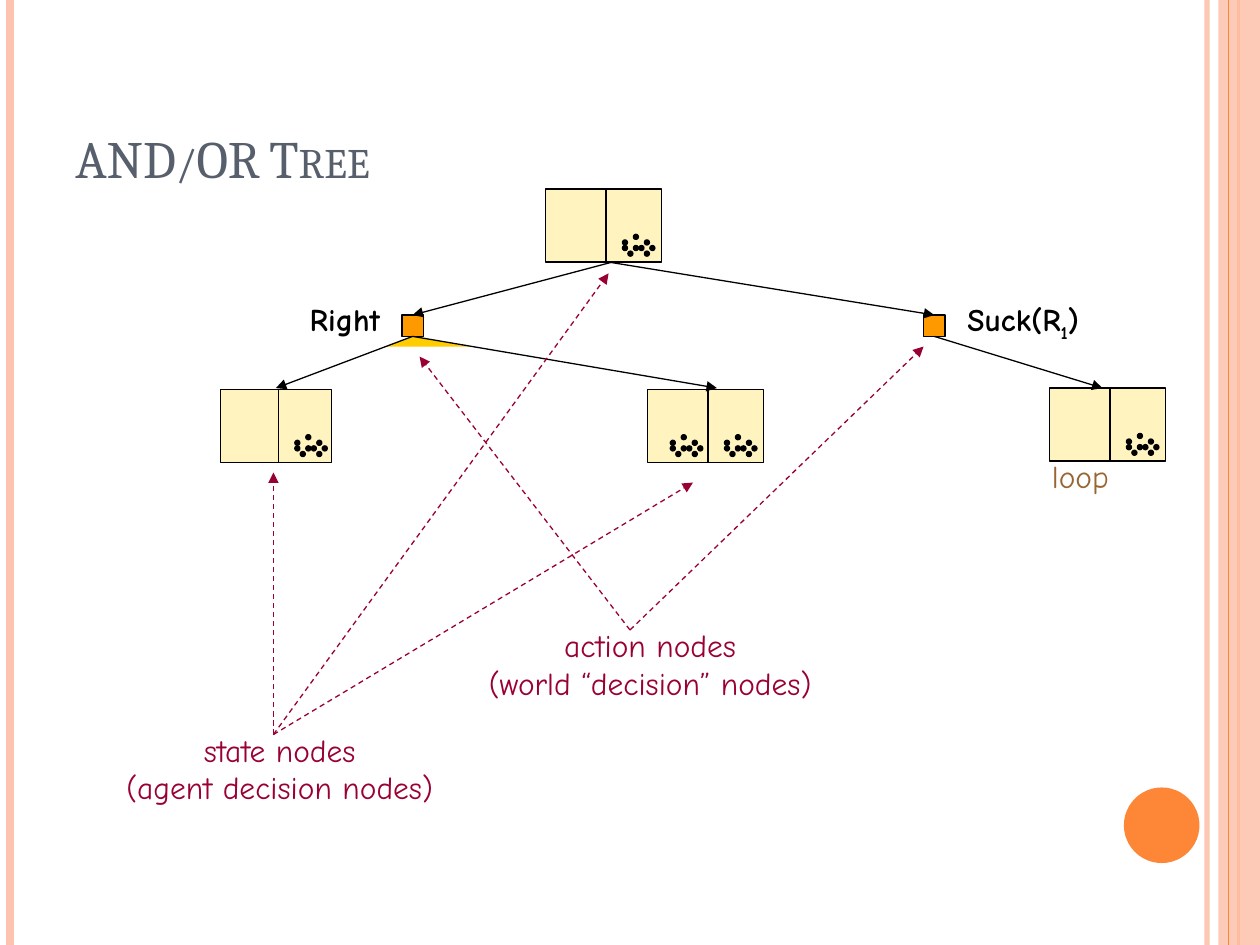
from lxml import etree
from pptx import Presentation
from pptx.dml.color import RGBColor
from pptx.enum.dml import MSO_LINE
from pptx.enum.shapes import MSO_CONNECTOR, MSO_SHAPE
from pptx.enum.text import MSO_ANCHOR, MSO_AUTO_SIZE, PP_ALIGN
from pptx.oxml.ns import qn
from pptx.util import Inches, Pt

RECT, OVAL = MSO_SHAPE.RECTANGLE, MSO_SHAPE.OVAL
STRAIGHT, DASH = MSO_CONNECTOR.STRAIGHT, MSO_LINE.DASH
LEFT, CENTER = PP_ALIGN.LEFT, PP_ALIGN.CENTER
TOP, BOTTOM = MSO_ANCHOR.TOP, MSO_ANCHOR.BOTTOM
FIT, FIXED = MSO_AUTO_SIZE.SHAPE_TO_FIT_TEXT, MSO_AUTO_SIZE.NONE
BLACK, WINE, ORANGE, PINK = "000000", "990033", "FE8637", "FEC3AE"
DOTS = [(0, 1), (2, 2), (1, 3), (2, 0), (4, 1), (3, 2), (5, 2), (0, 2), (4, 3)]


def paint(fill, color, alpha=100):
    """Fill with a solid colour at a given opacity in percent."""
    fill.solid()
    fill.fore_color.rgb = RGBColor.from_string(color)
    if alpha < 100:
        for tone in fill._xPr.iter(qn("a:srgbClr")):
            etree.SubElement(tone, qn("a:alpha"), val=str(alpha * 1000))


def shape(slide, kind, x, y, w, h, color, edge=None, alpha=100):
    """Add a filled preset shape, outlined when an edge colour is given."""
    item = slide.shapes.add_shape(kind, Inches(x), Inches(y), Inches(w), Inches(h))
    item.shadow.inherit = False
    paint(item.fill, color, alpha)
    if edge:
        paint(item.line.fill, edge)
        item.line.width = Pt(0.75)
    else:
        item.line.fill.background()
    return item


def line(slide, start, end, color, width=0.75, alpha=100):
    """Add a plain straight line."""
    item = slide.shapes.add_connector(STRAIGHT, *map(Inches, start + end))
    paint(item.line.fill, color, alpha)
    item.line.width = Pt(width)
    etree.SubElement(item._element.spPr, qn("a:effectLst"))
    return item


def arrow(slide, start, end, color=BLACK, dash=None):
    """Add a line with a triangle head at its end."""
    item = line(slide, start, end, color)
    if dash:
        item.line.dash_style = dash
    etree.SubElement(item.line._get_or_add_ln(), qn("a:tailEnd"), type="triangle")
    return item


def text(slide, x, y, w, h, rows, color, size=18, font="Comic Neue", bold=False,
         align=LEFT, anchor=TOP, fit=FIT):
    """Add a text box of rows, each a list of (words, run attributes)."""
    box = slide.shapes.add_textbox(Inches(x), Inches(y), Inches(w), Inches(h))
    frame = box.text_frame
    frame.word_wrap = fit == FIXED
    frame.auto_size = fit
    frame.vertical_anchor = anchor
    para = frame.paragraphs[0]
    para.alignment = align
    for index, row in enumerate(rows):
        if index:
            para.add_line_break()
        for words, extra in row:
            run = para.add_run()
            run.text = words
            run.font.size, run.font.name, run.font.bold = Pt(size), font, bold
            run.font.color.rgb = RGBColor.from_string(color)
            for key, value in extra.items():
                run.font._element.set(key, value)


def dirt(slide, x, y):
    """Add a heap of dirt dots."""
    for col, row in DOTS:
        shape(slide, OVAL, x + col * 0.0436, y + row * 0.0445, 0.04, 0.04, BLACK, BLACK)


def state(slide, x, y, left=0.52, right=0.44, both=False):
    """Add a two-room state node with dirt in the right or both rooms."""
    mid = x + left - 0.04
    shape(slide, RECT, x, y, left, 0.58, "FFF3BF", BLACK)
    shape(slide, RECT, mid, y, right, 0.58, "FFF3BF", BLACK)
    dirt(slide, mid + 0.13, y + 0.36)
    if both:
        dirt(slide, x + 0.18, y + 0.36)


def action(slide, x, source, targets):
    """Add an action node with its arrow in and its arrows out."""
    node = shape(slide, RECT, x, 2.5, 0.17, 0.17, "FF9900", BLACK)
    mid = x + 0.085
    arrow(slide, source, (mid, 2.5)).end_connect(node, 0)
    for target in targets:
        arrow(slide, (mid, 2.67), target).begin_connect(node, 2)


def wedge(slide):
    """Add the AND arc under the left action node."""
    pen = slide.shapes.build_freeform(Inches(3.28), Inches(2.67))
    pen.add_line_segments([(Inches(3.06), Inches(2.75)), (Inches(3.73), Inches(2.75))])
    item = pen.convert_to_shape()
    item.shadow.inherit = False
    paint(item.fill, "FFCC00")
    item.line.fill.background()


def legend(slide, start, targets, box, rows):
    """Add a caption with dashed arrows to the nodes it names."""
    for target in targets:
        arrow(slide, start, target, WINE, DASH)
    text(slide, *box, [[(row, {})] for row in rows], WINE, align=CENTER)


def frame(slide):
    """Add the side bands and the disc."""
    for x, color, width, alpha in [(9.58, PINK, 3, 93), (0.08, PINK, 4.5, 100),
                                   (9.83, ORANGE, 1.5, 100)]:
        line(slide, (x, 0), (x, 7.5), color, width, alpha)
    shape(slide, RECT, 9.67, 0, 0.33, 7.5, PINK, alpha=87)
    line(slide, (9.75, 0), (9.75, 7.5), ORANGE)
    shape(slide, OVAL, 8.92, 6.25, 0.6, 0.6, ORANGE)


def main():
    """Build the slide and save it."""
    deck = Presentation()
    deck.slide_width, deck.slide_height = Inches(10), Inches(7.5)
    slide = deck.slides.add_slide(deck.slide_layouts[6])
    frame(slide)
    text(slide, 0.5, 0.3, 8.17, 1.25, [[("AND/OR Tree", {"cap": "small"})]],
         "575F6D", 30, "Cambria", anchor=BOTTOM, fit=FIXED)
    wedge(slide)
    state(slide, 1.75, 3.09, 0.5, 0.42)
    state(slide, 5.14, 3.09, both=True)
    state(slide, 4.33, 1.5)
    state(slide, 8.33, 3.08)
    action(slide, 3.19, (4.86, 2.08), [(2.19, 3.08), (5.69, 3.08)])
    action(slide, 7.33, (4.83, 2.08), [(8.75, 3.08)])
    text(slide, 2.36, 2.33, 0.82, 0.4, [[("Right", {})]], BLACK, bold=True)
    text(slide, 7.58, 2.33, 1.22, 0.4,
         [[("Suck(R", {}), ("1", {"baseline": "-25000"}), (")", {})]], BLACK, bold=True)
    text(slide, 8.25, 3.58, 0.67, 0.4, [[("loop", {})]], "996633")
    legend(slide, (5, 5), [(3.33, 2.83), (7.33, 2.75)], (3.67, 4.92, 2.98, 0.7),
           ["action nodes", "(world “decision” nodes)"])
    legend(slide, (2.17, 5.83), [(2.17, 3.75), (4.83, 2.17), (5.5, 3.83)],
           (0.83, 5.75, 2.78, 0.7), ["state nodes", "(agent decision nodes)"])
    deck.save("out.pptx")


if __name__ == "__main__":
    main()
